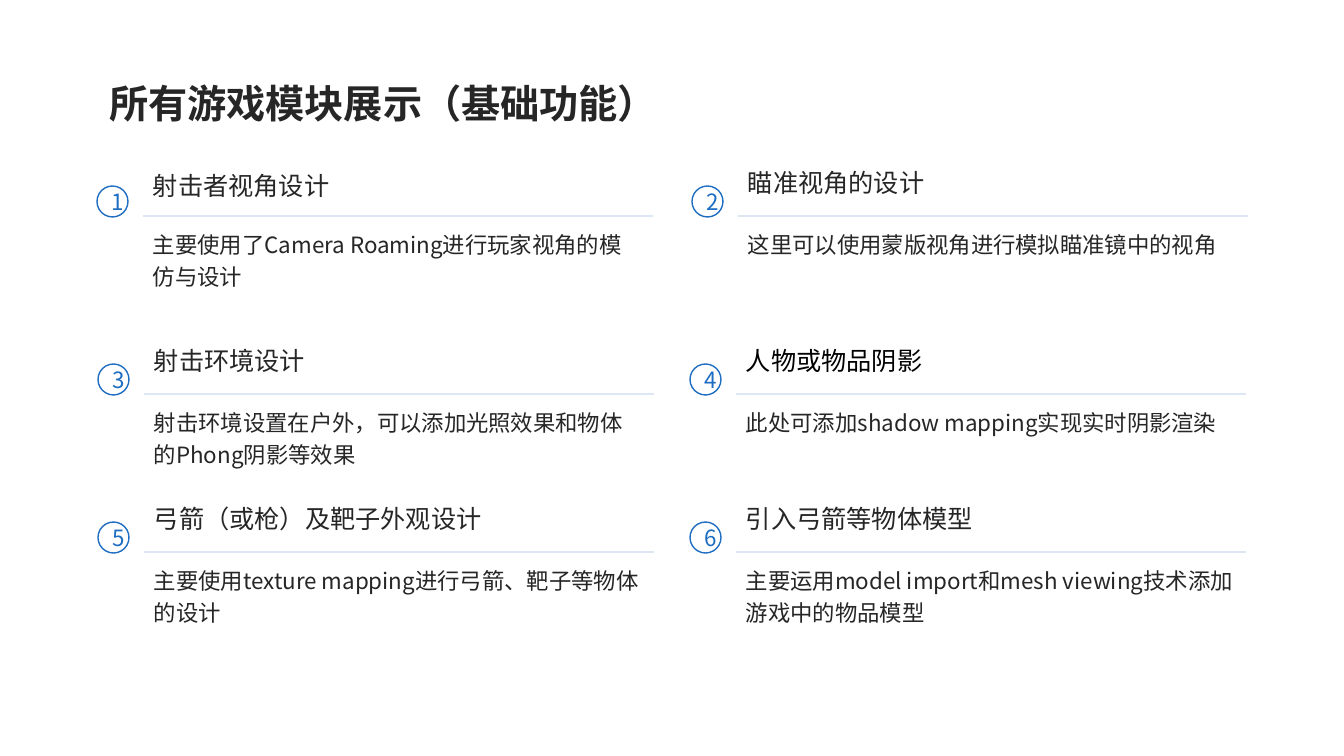
from dataclasses import dataclass

from pptx import Presentation
from pptx.dml.color import RGBColor as RGB
from pptx.enum.shapes import MSO_CONNECTOR as CONN, MSO_SHAPE as SHAPE
from pptx.enum.text import MSO_ANCHOR as ANCHOR, MSO_AUTO_SIZE as AUTO, PP_ALIGN as ALIGN
from pptx.oxml.ns import qn
from pptx.util import Emu, Pt

PX = 914400 / 100.8


def px(*values):
    return [Emu(round(v * PX)) for v in values]


@dataclass(frozen=True)
class Theme:
    ink: RGB = RGB(0x26, 0x26, 0x26)
    black: RGB = RGB(0, 0, 0)
    accent: RGB = RGB(0x1D, 0x6D, 0xC2)
    font: str = "Noto Sans CJK SC"
    alt_font: str = "Arial"
    title: int = 28
    heading: int = 18
    body: int = 16
    rule_alpha: int = 44000


T = Theme()

# Heading and description of each module, in reading order
MODULES = [
    ("射击者视角设计", "主要使用了Camera Roaming进行玩家视角的模仿与设计"),
    ("瞄准视角的设计", "这里可以使用蒙版视角进行模拟瞄准镜中的视角"),
    ("射击环境设计", "射击环境设置在户外，可以添加光照效果和物体的Phong阴影等效果"),
    ("人物或物品阴影", "此处可添加shadow mapping实现实时阴影渲染"),
    ("弓箭（或枪）及靶子外观设计", "主要使用texture mapping进行弓箭、靶子等物体的设计"),
    ("引入弓箭等物体模型", "主要运用model import和mesh viewing技术添加游戏中的物品模型"),
]
# Top of each row, with the left edges of its two modules
ROWS = [(167, (143, 738)), (345, (144, 736)), (503, (144, 736))]
MODULE_W = 510


def write(tf, text, size, color=T.ink, font=T.font, bold=False, spacing=None, align=ALIGN.LEFT):
    tf.word_wrap = True
    tf.text = text
    p = tf.paragraphs[0]
    p.alignment = align
    if spacing:
        p.line_spacing = spacing
    for r in p.runs:
        r.font.size, r.font.name, r.font.bold = Pt(size), font, bold
        r.font.color.rgb = color
        ea = r.font._element.makeelement(qn("a:ea"), {"typeface": T.font})
        r.font._element.find(qn("a:latin")).addnext(ea)


def add_title(s, x, y, w, h, text):
    title = s.shapes.title
    title.left, title.top, title.width, title.height = px(x, y, w, h)
    tf = title.text_frame
    tf.auto_size = AUTO.NONE
    tf.vertical_anchor = ANCHOR.TOP
    write(tf, text, T.title, bold=True, spacing=1.2)


def add_rule(s, x, y, w):
    line = s.shapes.add_connector(CONN.STRAIGHT, *px(x, y, x + w, y))
    line.line.width = Pt(0.5)
    line.line.color.rgb = T.accent
    sp_pr = line._element.spPr
    color = sp_pr.find(".//" + qn("a:srgbClr"))
    color.append(color.makeelement(qn("a:alpha"), {"val": str(T.rule_alpha)}))
    sp_pr.append(sp_pr.makeelement(qn("a:effectLst"), {}))


def add_badge(s, x, y, number):
    badge = s.shapes.add_shape(SHAPE.OVAL, *px(x, y, 31, 31))
    badge.shadow.inherit = False
    badge.fill.background()
    badge.line.color.rgb = T.accent
    badge.line.width = Pt(1)
    badge.text_frame.vertical_anchor = ANCHOR.MIDDLE
    write(badge.text_frame, str(number), T.body, T.accent, align=ALIGN.CENTER)


def add_module(s, x, y, w, number, heading, body, **heading_style):
    add_rule(s, x, y + 49, w)

    # Heading above the rule
    tf = s.shapes.add_textbox(*px(x, y, w, 45)).text_frame
    tf.margin_top = 0
    write(tf, heading, T.heading, **heading_style)

    # Description below the rule
    tf = s.shapes.add_textbox(*px(x, y + 54, w, 87)).text_frame
    write(tf, body, T.body, spacing=1.2)

    add_badge(s, x - 46, y + 19, number)


prs = Presentation()
prs.slide_width, prs.slide_height = px(1344, 756)
s = prs.slides.add_slide(prs.slide_layouts[5])

add_title(s, 99, 65, 1150, 88, "所有游戏模块展示（基础功能）")

# Modules in a grid of two columns
heading_styles = {1: {"spacing": 1.1}, 4: {"color": T.black, "font": T.alt_font}}
origins = [(x, y) for y, lefts in ROWS for x in lefts]
for number, ((x, y), (heading, body)) in enumerate(zip(origins, MODULES), 1):
    add_module(s, x, y, MODULE_W, number, heading, body, **heading_styles.get(number, {}))

prs.save("out.pptx")
